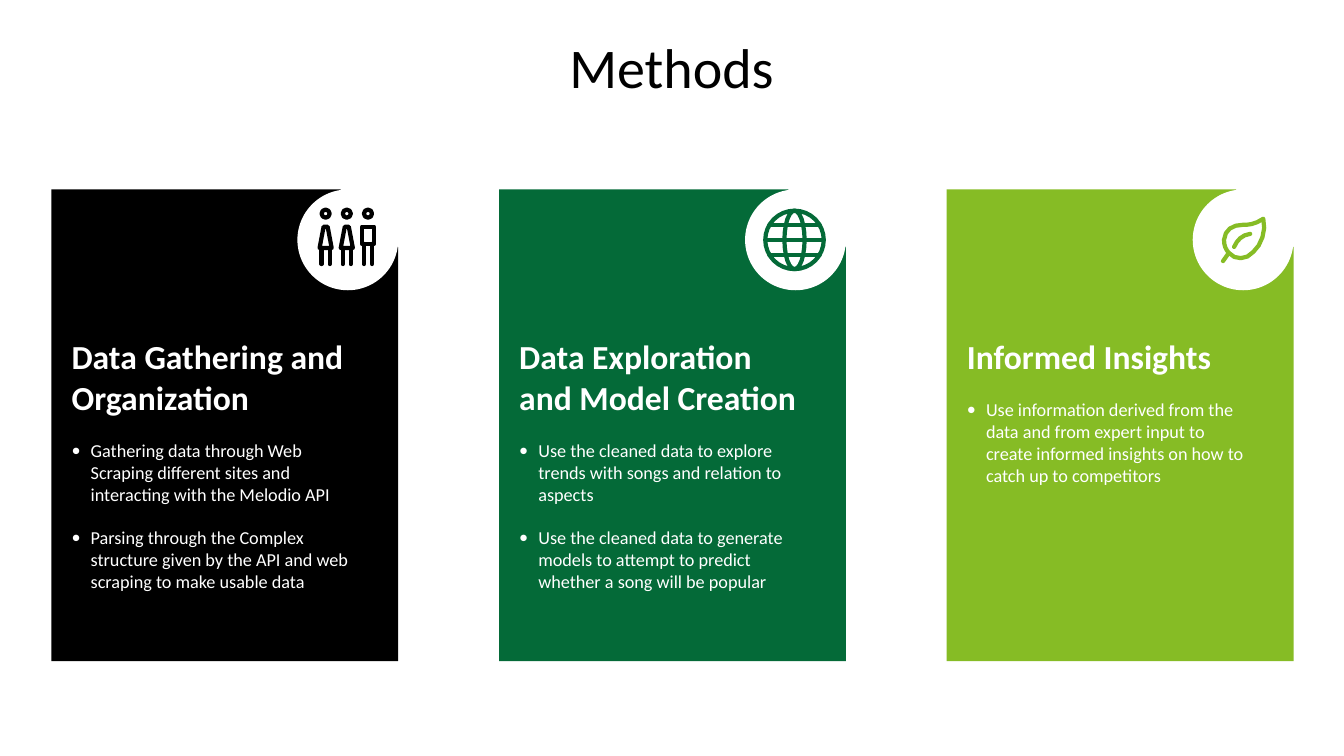
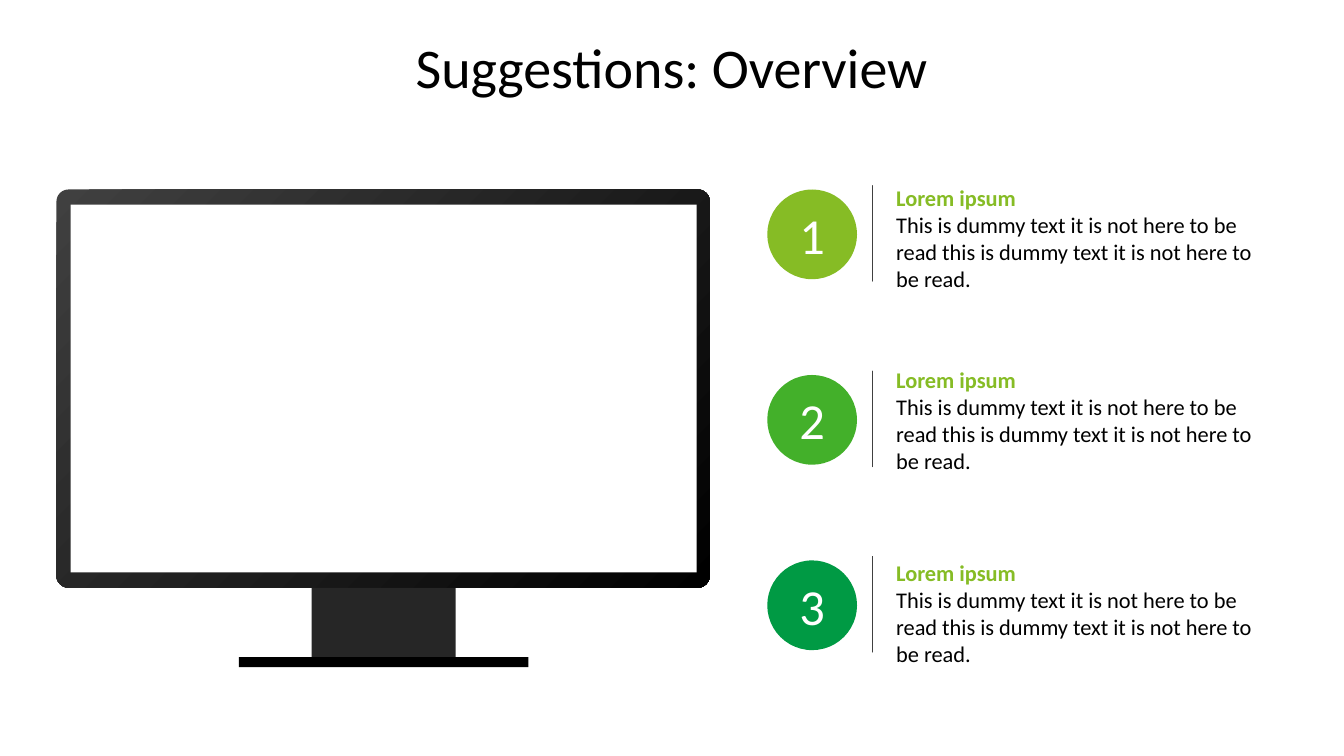
"""Build the methods slide and the suggestions slide."""
from math import cos, pi, sin
from lxml.etree import SubElement
from pptx import Presentation
from pptx.dml.color import RGBColor
from pptx.enum.shapes import MSO_CONNECTOR, MSO_SHAPE
from pptx.enum.text import MSO_ANCHOR, PP_ALIGN
from pptx.oxml.ns import qn
from pptx.util import Inches, Pt

BLACK, WHITE, LIME, FOREST = "000000", "FFFFFF", "86BC25", "046A38"
FONT = "Calibri"
TOP = 1.88
rgb = RGBColor.from_string


def paint(shape, fill=None, line=None, width=3):
    if hasattr(shape, "shadow"):
        shape.shadow.inherit = False
    else:
        SubElement(shape.element.spPr, qn("a:effectLst"))
    if fill:
        shape.fill.solid()
        shape.fill.fore_color.rgb = rgb(fill)
    elif hasattr(shape, "fill"):
        shape.fill.background()
    if line:
        shape.line.color.rgb = rgb(line)
        shape.line.width = Pt(width)
        shape.element.spPr.find(qn("a:ln")).set("cap", "rnd")
    else:
        shape.line.fill.background()
    return shape


def write(para, text, size, color, bold=False):
    run = para.add_run()
    run.text = text
    run.font.name = FONT
    run.font.size = Pt(size)
    run.font.bold = bold
    run.font.color.rgb = rgb(color)


deck = Presentation()
deck.slide_width, deck.slide_height = Inches(13.33), Inches(7.5)
pages = []
for title in ("Methods", "Suggestions: Overview"):
    page = deck.slides.add_slide(deck.slide_layouts[6])
    box = page.shapes.add_textbox(Inches(3.35), Inches(0.33), Inches(6.62), Inches(0.7))
    frame = box.text_frame
    frame.word_wrap = True
    frame.vertical_anchor = MSO_ANCHOR.BOTTOM
    para = frame.paragraphs[0]
    para.alignment = PP_ALIGN.CENTER
    para.line_spacing = 0.8
    write(para, title, 40, BLACK)
    pages.append(page.shapes)
methods, advice = pages

cards = [
    (BLACK, "Data Gathering and Organization", [
        "Gathering data through Web Scraping different sites and interacting with the Melodio API",
        "Parsing through the Complex structure given by the API and web scraping to make usable data"]),
    (FOREST, "Data Exploration and Model Creation", [
        "Use the cleaned data to explore trends with songs and relation to aspects",
        "Use the cleaned data to generate models to attempt to predict whether a song will be popular"]),
    (LIME, "Informed Insights", [
        "Use information derived from the data and from expert input to create informed insights "
        "on how to catch up to competitors"]),
]
WIDE, STEP = 3.44, 4.44
for col, (color, head, points) in enumerate(cards):
    left = 0.51 + col * STEP
    card = paint(methods.add_shape(MSO_SHAPE.SNIP_1_RECTANGLE, Inches(left), Inches(TOP),
                                   Inches(WIDE), Inches(4.68)), color)
    frame = card.text_frame
    frame.word_wrap = True
    frame.vertical_anchor = MSO_ANCHOR.TOP
    frame.margin_left = frame.margin_right = frame.margin_bottom = Inches(0.2)
    frame.margin_top = Inches(1.17)
    para = frame.paragraphs[0]
    para.alignment = PP_ALIGN.LEFT
    write(para, head, 24, WHITE, True)
    for point in points:
        para = frame.add_paragraph()
        props = para._p.get_or_add_pPr()
        props.set("marL", str(Inches(0.19)))
        props.set("indent", str(-Inches(0.19)))
        SubElement(props, qn("a:buFont")).set("typeface", FONT)
        SubElement(props, qn("a:buChar")).set("char", "•")
        para.alignment = PP_ALIGN.LEFT
        para.space_before = Pt(15.8)
        write(para, point, 13, WHITE)
    paint(methods.add_shape(MSO_SHAPE.OVAL, Inches(left + WIDE - 1), Inches(TOP),
                            Inches(1), Inches(1)), WHITE)

rings = [(mid, 2.12, 0.04, 0.04, 8, BLACK) for mid in (3.23, 3.44, 3.65)]
rings += [(7.88, 2.38, 0.29, 0.29, 32, FOREST), (7.88, 2.38, 0.1, 0.29, 24, FOREST)]
icons = {BLACK: [], FOREST: [], LIME: []}
for x, y, wide, high, count, color in rings:
    turns = [2 * pi * n / count for n in range(count)]
    icons[color].append(([(x + wide * cos(a), y + high * sin(a)) for a in turns], True))

for mid, neck, hem in ((3.23, 0.02, 2.46), (3.44, 0.02, 2.46), (3.65, 0.06, 2.42)):
    icons[BLACK].append(([(mid - neck, 2.25), (mid + neck, 2.25),
                          (mid + 0.06, hem), (mid - 0.06, hem)], True))
    for leg in (mid - 0.04, mid + 0.04):
        icons[BLACK].append(([(leg, hem), (leg, 2.62)], False))

for y, half in ((2.23, 0.25), (2.38, 0.29), (2.53, 0.25)):
    icons[FOREST].append(([(7.88 - half, y), (7.88 + half, y)], False))

leaf = [(12.53, 2.17), (12.44, 2.23), (12.38, 2.23), (12.33, 2.23),
        (12.22, 2.23), (12.15, 2.28), (12.14, 2.38),
        (12.14, 2.44), (12.16, 2.48), (12.19, 2.51),
        (12.25, 2.58), (12.36, 2.58), (12.43, 2.5),
        (12.51, 2.43), (12.56, 2.29), (12.53, 2.17)]
vein = [(12.24, 2.45), (12.27, 2.38), (12.32, 2.33), (12.4, 2.32)]
for curve, closed in ((leaf, True), (vein, False)):
    dots = [curve[0]]
    for first in range(0, len(curve) - 1, 3):
        for t in (0.25, 0.5, 0.75, 1):
            parts = ((1 - t) ** 3, 3 * t * (1 - t) ** 2, 3 * t * t * (1 - t), t ** 3)
            dots.append([sum(part * spot[axis] for part, spot
                             in zip(parts, curve[first:first + 4])) for axis in (0, 1)])
    icons[LIME].append((dots, closed))
icons[LIME].append(([(12.18, 2.52), (12.13, 2.59)], False))

for color, lines in icons.items():
    pen = None
    for dots, closed in lines:
        start, *rest = [(Inches(x), Inches(y)) for x, y in dots]
        if pen:
            pen.move_to(*start)
        else:
            pen = methods.build_freeform(*start)
        pen.add_line_segments(rest, close=closed)
    paint(pen.convert_to_shape(), None, color)

items = [(LIME, 1.77), ("43B02A", 3.58), ("009A44", 5.49)]
for row, (color, high) in enumerate(items):
    top = TOP + row * 1.84
    disc = paint(advice.add_shape(MSO_SHAPE.OVAL, Inches(7.61), Inches(top),
                                  Inches(0.89), Inches(0.89)), color)
    frame = disc.text_frame
    frame.vertical_anchor = MSO_ANCHOR.MIDDLE
    frame.margin_left = frame.margin_right = frame.margin_top = frame.margin_bottom = 0
    para = frame.paragraphs[0]
    para.alignment = PP_ALIGN.CENTER
    write(para, str(row + 1), 36, WHITE)
    paint(advice.add_connector(MSO_CONNECTOR.STRAIGHT, Inches(8.65), Inches(top - 0.04),
                               Inches(8.65), Inches(top + 0.91)), None, "404040", 0.5)
    box = advice.add_textbox(Inches(8.79), Inches(high), Inches(3.79), Inches(1.18))
    frame = box.text_frame
    frame.word_wrap = True
    frame.vertical_anchor = MSO_ANCHOR.MIDDLE
    para = frame.paragraphs[0]
    write(para, "Lorem ipsum", 16, LIME, True)
    para.add_line_break()
    write(para, "This is dummy text it is not here to be read "
                "this is dummy text it is not here to be read.", 16, BLACK)

screen = [
    (MSO_SHAPE.RECTANGLE, 3.09, 5.58, 1.43, 0.94, "262626"),
    (MSO_SHAPE.ROUNDED_RECTANGLE, 0.56, 1.88, 6.48, 3.95, BLACK),
    (MSO_SHAPE.RECTANGLE, 0.7, 2.03, 6.21, 3.65, WHITE),
    (MSO_SHAPE.RECTANGLE, 2.37, 6.52, 2.87, 0.1, BLACK),
]
for kind, x, y, wide, high, color in screen:
    part = paint(advice.add_shape(kind, Inches(x), Inches(y), Inches(wide), Inches(high)), color)
    if kind == MSO_SHAPE.ROUNDED_RECTANGLE:
        part.adjustments[0] = 0.03
        part.fill.gradient()
        part.fill.gradient_angle = 315
        for stop, shade in zip(part.fill.gradient_stops, ("404040", BLACK)):
            stop.color.rgb = rgb(shade)

deck.save("out.pptx")
